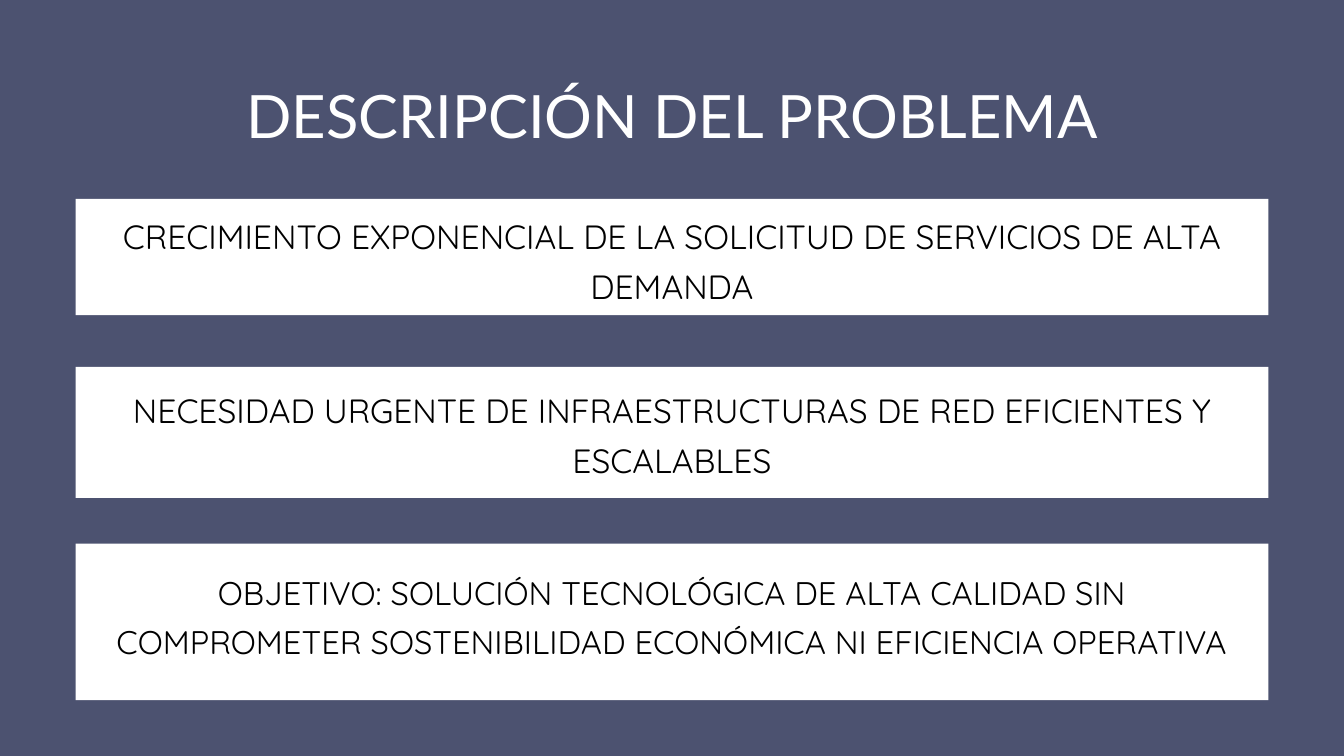
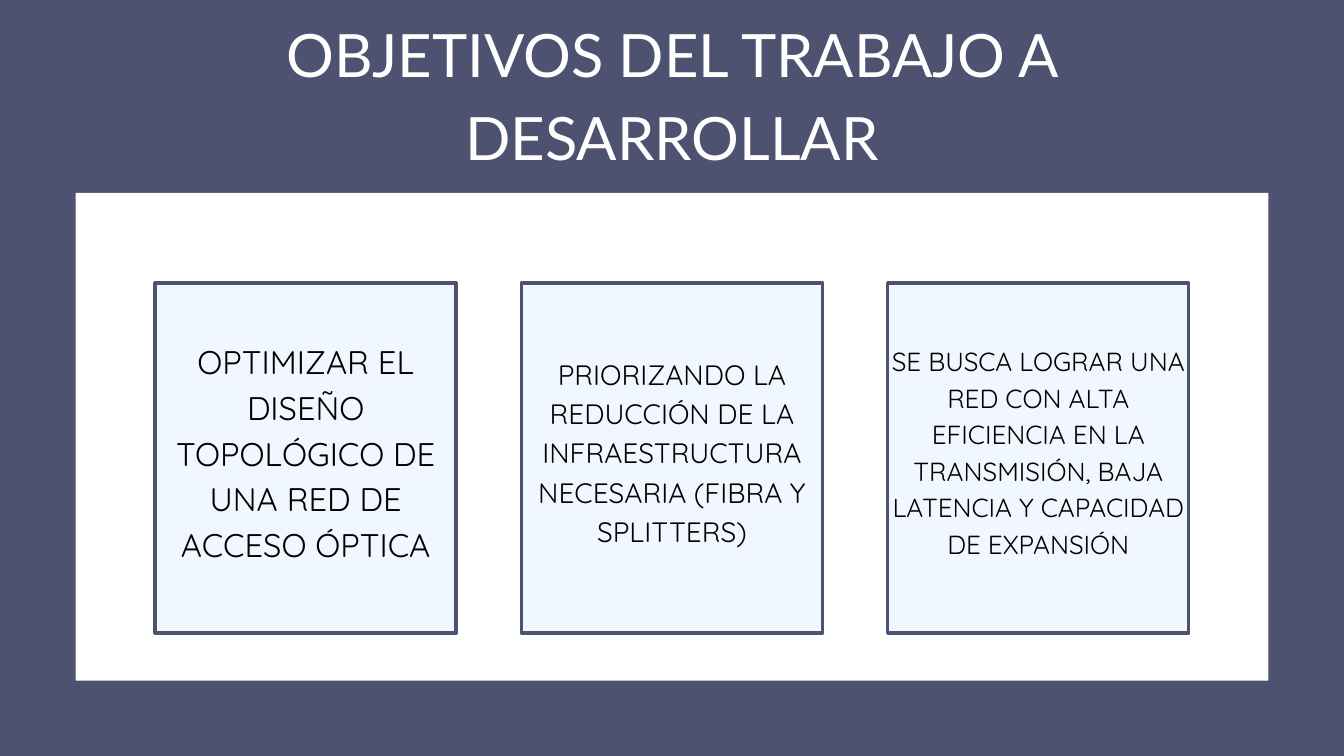
from dataclasses import dataclass

from pptx import Presentation
from pptx.dml.color import RGBColor
from pptx.enum.shapes import MSO_SHAPE
from pptx.enum.text import MSO_ANCHOR, MSO_AUTO_SIZE, PP_ALIGN
from pptx.util import Inches, Pt

COLUMNS, ROWS = 20, 11.25
CELL = Inches(1)


@dataclass(frozen=True)
class Theme:
    """Colours, fonts, type sizes and shared widths, in points and grid columns."""
    slate: RGBColor = RGBColor(0x4C, 0x52, 0x70)
    white: RGBColor = RGBColor(0xFF, 0xFF, 0xFF)
    ice: RGBColor = RGBColor(0xF0, 0xF7, 0xFE)
    black: RGBColor = RGBColor(0, 0, 0)
    title_font: str = "Lato"
    body_font: str = "Quicksand"
    title_size: int = 64
    border: float = 3.75
    title_leading: float = 1.4
    band_leading: float = 1.5
    card_leading: float = 1.4
    panel_width: float = 17.75
    text_width: float = 16.93


THEME = Theme()

BANDS = [
    (2.96, 1.73, 3.06, 1.45, 36,
     "CRECIMIENTO EXPONENCIAL DE LA SOLICITUD DE SERVICIOS DE ALTA DEMANDA"),
    (5.46, 1.95, 5.65, 1.45, 36,
     "NECESIDAD URGENTE DE INFRAESTRUCTURAS DE RED EFICIENTES Y ESCALABLES"),
    (8.09, 2.33, 8.38, 1.42, 35,
     "OBJETIVO: SOLUCIÓN TECNOLÓGICA DE ALTA CALIDAD SIN COMPROMETER "
     "SOSTENIBILIDAD ECONÓMICA NI EFICIENCIA OPERATIVA"),
]

CARDS = [
    (35, "OPTIMIZAR EL DISEÑO TOPOLÓGICO DE UNA RED DE ACCESO ÓPTICA"),
    (30, "PRIORIZANDO LA REDUCCIÓN DE LA INFRAESTRUCTURA NECESARIA (FIBRA Y SPLITTERS)"),
    (28, "SE BUSCA LOGRAR UNA RED CON ALTA EFICIENCIA EN LA TRANSMISIÓN, "
         "BAJA LATENCIA Y CAPACIDAD DE EXPANSIÓN"),
]


def apply_format(target, values):
    """Set every attribute named in a dict of format values."""
    for name, value in values.items():
        setattr(target, name, value)


def grid_place(*cells):
    """Turn grid columns and rows into slide lengths."""
    return [round(cell * CELL) for cell in cells]


def centred(width):
    """Return the left column that centres a width on the slide."""
    return (COLUMNS - width) / 2


def add_page(deck):
    """Add a blank page with the slate background."""
    page = deck.slides.add_slide(deck.slide_layouts[6])
    page.background.fill.solid()
    page.background.fill.fore_color.rgb = THEME.slate
    return page


def add_block(page, place, fill, border=None):
    """Add a flat rectangle, with a border when a colour is given."""
    block = page.shapes.add_shape(MSO_SHAPE.RECTANGLE, *grid_place(*place))
    block.shadow.inherit = False
    block.fill.solid()
    block.fill.fore_color.rgb = fill
    if border is None:
        block.line.fill.background()
    else:
        block.line.color.rgb = border
        block.line.width = Pt(THEME.border)


def add_text(page, place, text, font, size, color, leading, inset=0,
             anchor=MSO_ANCHOR.TOP, fit=MSO_AUTO_SIZE.SHAPE_TO_FIT_TEXT):
    """Add a centred text box with line spacing in proportion to its type size."""
    box = page.shapes.add_textbox(*grid_place(*place))
    frame = box.text_frame
    margins = ("margin_left", "margin_top", "margin_right", "margin_bottom")
    apply_format(frame, dict.fromkeys(margins, round(inset * CELL)))
    apply_format(frame, {"word_wrap": True, "auto_size": fit,
                         "vertical_anchor": anchor})
    para = frame.paragraphs[0]
    apply_format(para, {"alignment": PP_ALIGN.CENTER,
                        "line_spacing": Pt(size * leading)})
    span = para.add_run()
    span.text = text
    apply_format(span.font, {"name": font, "size": Pt(size)})
    span.font.color.rgb = color


def add_title(page, top, height, text):
    """Add the white page title."""
    place = (centred(THEME.text_width), top, THEME.text_width, height)
    add_text(page, place, text, THEME.title_font, THEME.title_size,
             THEME.white, THEME.title_leading)


def add_panel(page, top, height):
    """Add a white panel across the page."""
    add_block(page, (centred(THEME.panel_width), top, THEME.panel_width, height),
              THEME.white)


def add_band(page, top, height, text_top, text_height, size, text):
    """Add a white panel with one statement on it."""
    add_panel(page, top, height)
    place = (centred(THEME.text_width), text_top, THEME.text_width, text_height)
    add_text(page, place, text, THEME.body_font, size, THEME.black,
             THEME.band_leading)


def add_cards(page, cards, top=4.21, width=4.48, height=5.21, step=5.45, rise=0.24):
    """Add a centred row of bordered cards at equal steps."""
    first = centred(width) - step * (len(cards) - 1) / 2
    for index, (size, text) in enumerate(cards):
        left = first + index * step
        add_block(page, (left, top, width, height), THEME.ice, THEME.slate)
        add_text(page, (left, top - rise, width, height + rise), text,
                 THEME.body_font, size, THEME.black, THEME.card_leading,
                 inset=0.06, anchor=MSO_ANCHOR.MIDDLE, fit=MSO_AUTO_SIZE.NONE)


def build_problem(deck):
    """Build the page that describes the problem."""
    page = add_page(deck)
    add_title(page, 1, 1.19, "DESCRIPCIÓN DEL PROBLEMA")
    for band in BANDS:
        add_band(page, *band)


def build_goals(deck):
    """Build the page that lists the goals."""
    page = add_page(deck)
    add_panel(page, 2.87, 7.26)
    add_cards(page, CARDS)
    add_title(page, 0.08, 2.43, "OBJETIVOS DEL TRABAJO A DESARROLLAR")


def main():
    """Build and save the deck."""
    deck = Presentation()
    deck.slide_width, deck.slide_height = grid_place(COLUMNS, ROWS)
    build_problem(deck)
    build_goals(deck)
    deck.save("out.pptx")


if __name__ == "__main__":
    main()
